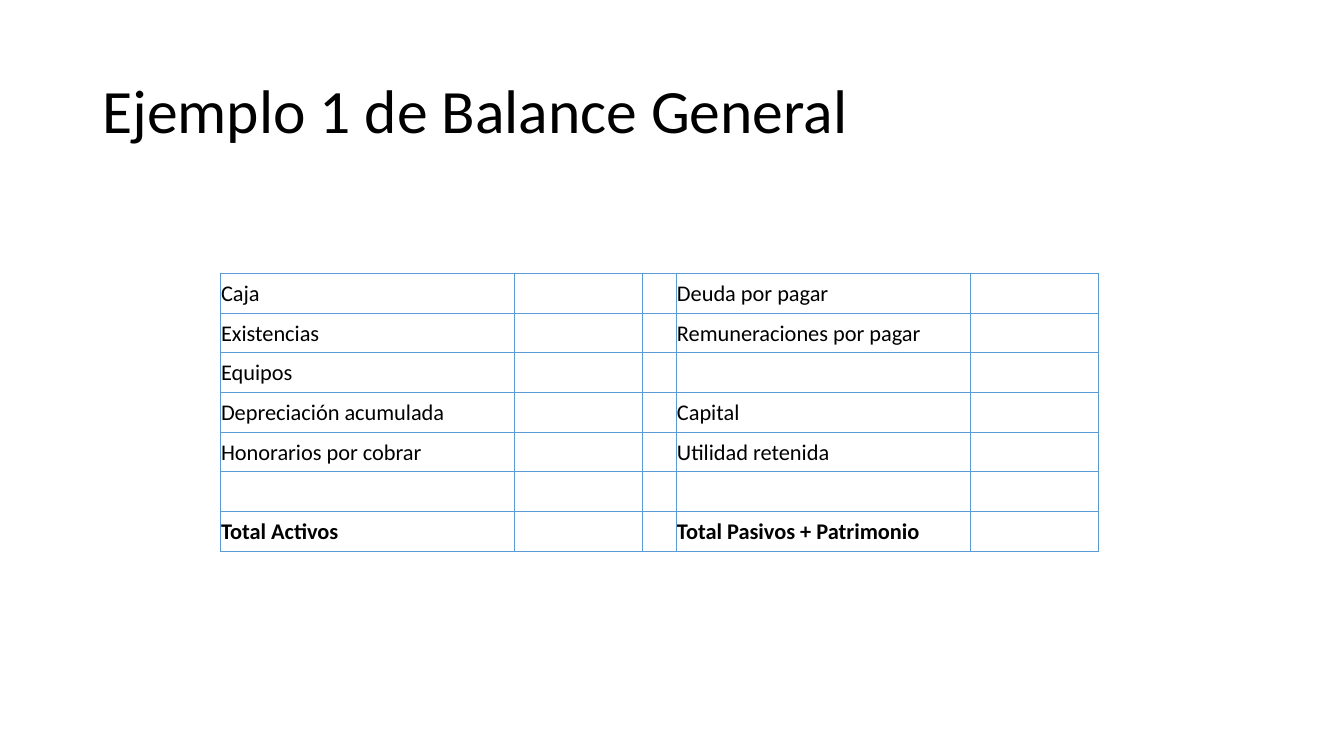
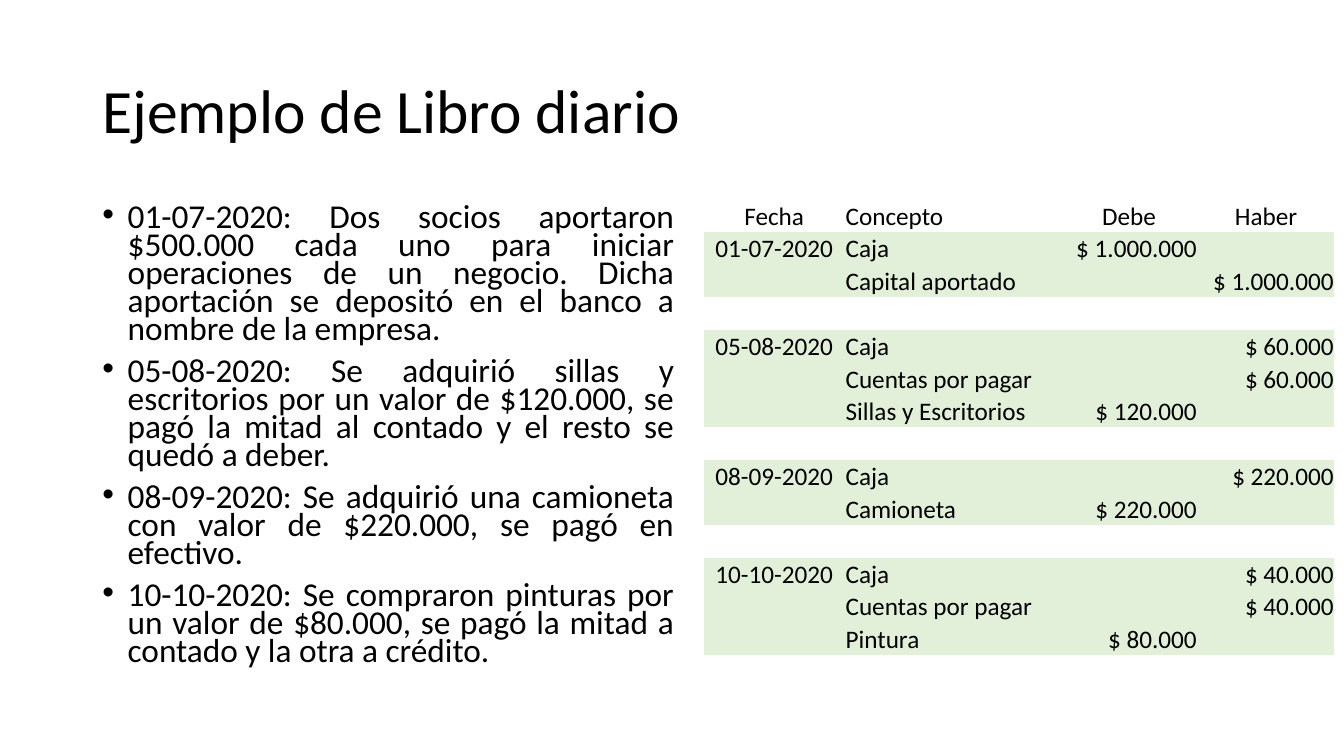
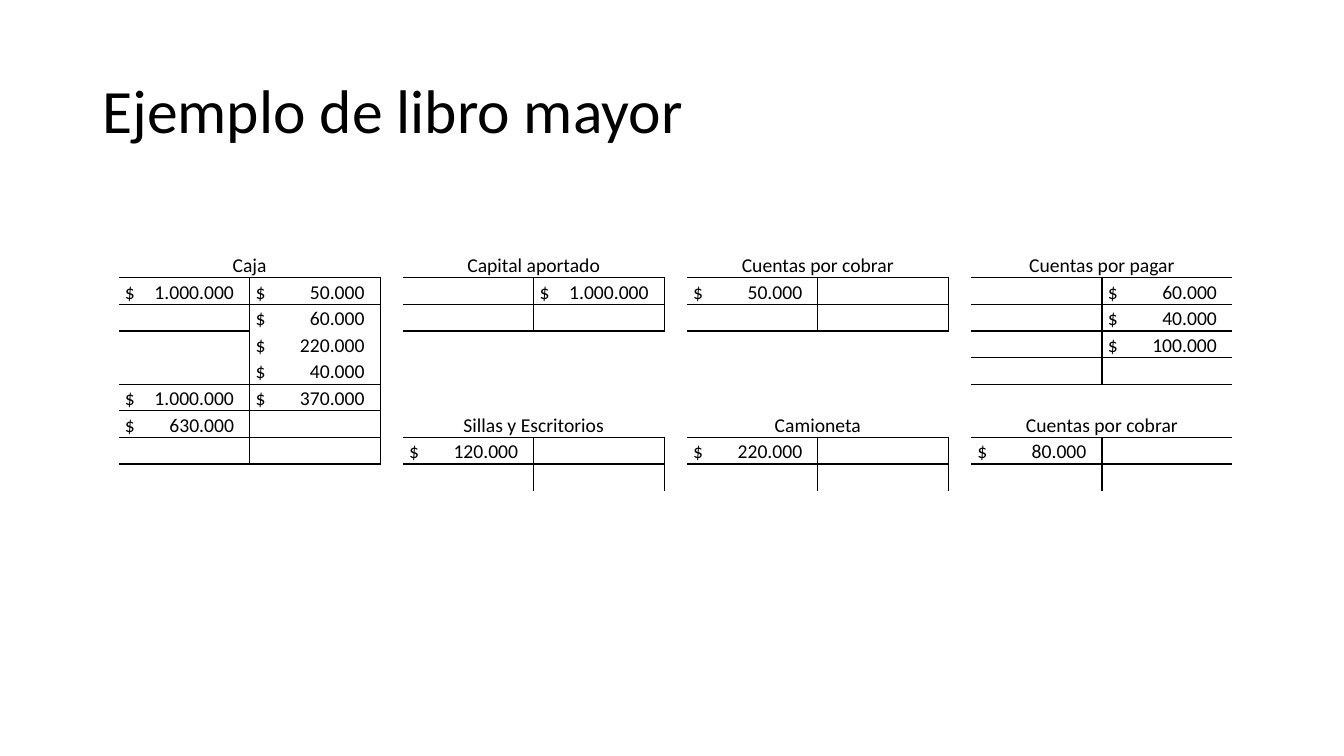
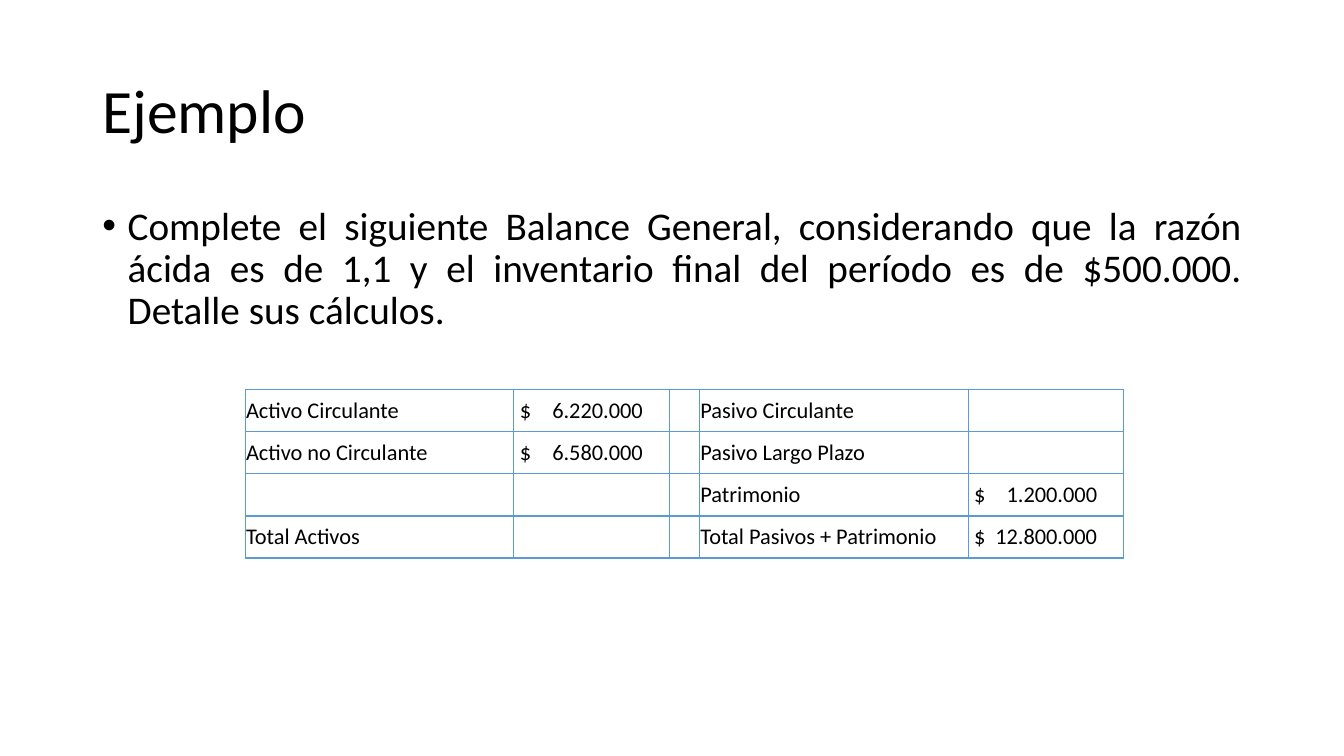
from dataclasses import dataclass

from lxml.etree import SubElement
from pptx import Presentation
from pptx.dml.color import RGBColor
from pptx.enum.text import MSO_ANCHOR, PP_ALIGN
from pptx.oxml.ns import qn
from pptx.util import Cm, Pt


@dataclass(frozen=True)
class Theme:
    font: str = "Calibri"
    text: str = "000000"
    grid: str = "5B9BD5"
    entry: str = "E2F0D9"
    title: float = 44
    body: float = 28
    dense_body: float = 23.8
    journal: float = 18
    balance: float = 16
    ledger: float = 14


theme = Theme()
SIDES = ("L", "R", "T", "B")
PLAIN_TABLE_STYLE = "{2D5ABB26-0587-4C30-8999-92F81FD0307C}"


def add_text(slide, left, top, width, height, paragraphs, size, spacing=0.9, bullets=False):
    shape = slide.shapes.add_textbox(Cm(left), Cm(top), Cm(width), Cm(height))
    frame = shape.text_frame
    frame.word_wrap = True
    frame.vertical_anchor = MSO_ANCHOR.TOP if bullets else MSO_ANCHOR.MIDDLE
    for index, text in enumerate(paragraphs):
        paragraph = frame.add_paragraph() if index else frame.paragraphs[0]
        paragraph.line_spacing = spacing
        if bullets:
            paragraph.alignment = PP_ALIGN.JUSTIFY
            paragraph.space_before = Pt(10)
            properties = paragraph._p.get_or_add_pPr()
            properties.set("marL", str(Cm(0.64)))
            properties.set("indent", str(-Cm(0.64)))
            SubElement(properties, qn("a:buFont"), typeface="Arial")
            SubElement(properties, qn("a:buChar"), char="•")
        run = paragraph.add_run()
        run.text = text
        run.font.name = theme.font
        run.font.size = Pt(size)
        run.font.color.rgb = RGBColor.from_string(theme.text)


def add_grid(slide, left, top, widths, row_height, rows, size, anchor,
             borders, line_color, aligns=None, amount_end=0):
    """Borders map (row, column) to sides; amounts end at a right tab stop."""
    frame = slide.shapes.add_table(len(rows), len(widths), Cm(left), Cm(top),
                                   Cm(sum(widths)), Cm(row_height * len(rows)))
    table = frame.table
    table.first_row = table.horz_banding = False
    table._tbl.tblPr.find(qn("a:tableStyleId")).text = PLAIN_TABLE_STYLE
    for column, width in zip(table.columns, widths):
        column.width = Cm(width)
    for row_index, texts in enumerate(rows):
        table.rows[row_index].height = Cm(row_height)
        for column_index, text in enumerate(texts):
            cell = table.cell(row_index, column_index)
            is_amount = "\t" in text
            cell.margin_left = Cm(0.15 if is_amount else 0.02)
            cell.margin_right = cell.margin_top = Cm(0.02)
            cell.margin_bottom = 0
            cell.vertical_anchor = anchor
            for side in SIDES:
                if side in borders.get((row_index, column_index), ()):
                    line = SubElement(cell._tc.get_or_add_tcPr(), qn(f"a:ln{side}"), w=str(Pt(1)))
                    SubElement(SubElement(line, qn("a:solidFill")), qn("a:srgbClr"), val=line_color)
            cell.fill.background()
            paragraph = cell.text_frame.paragraphs[0]
            if aligns:
                paragraph.alignment = aligns[column_index]
            if is_amount:
                tabs = SubElement(paragraph._p.get_or_add_pPr(), qn("a:tabLst"))
                SubElement(tabs, qn("a:tab"), pos=str(Cm(amount_end)), algn="r")
            if text:
                run = paragraph.add_run()
                run.text = text
                run.font.name = theme.font
                run.font.size = Pt(size)
                run.font.color.rgb = RGBColor.from_string(theme.text)
            else:
                SubElement(paragraph._p, qn("a:endParaRPr"), sz=str(size * 100))
    return table


presentation = Presentation()
presentation.slide_width = Cm(33.87)
presentation.slide_height = Cm(19.05)

# Slides and their titles
slides = []
for title in ("Ejemplo 1 de Balance General", "Ejemplo de Libro diario",
              "Ejemplo de libro mayor", "Ejemplo"):
    slide = presentation.slides.add_slide(presentation.slide_layouts[6])
    add_text(slide, 2.33, 1.01, 29.21, 3.68, [title], theme.title)
    slides.append(slide)
balance_slide, journal_slide, ledger_slide, exercise_slide = slides

# Balance sheet
balance_rows = [
    ("Caja", "", "", "Deuda por pagar", ""),
    ("Existencias", "", "", "Remuneraciones por pagar", ""),
    ("Equipos", "", "", "", ""),
    ("Depreciación acumulada", "", "", "Capital", ""),
    ("Honorarios por cobrar", "", "", "Utilidad retenida", ""),
    ("", "", "", "", ""),
    ("Total Activos", "", "", "Total Pasivos + Patrimonio", ""),
]
full_grid = {(row, column): SIDES for row in range(7) for column in range(5)}
balance = add_grid(balance_slide, 5.55, 6.89, (7.42, 3.23, 0.84, 7.42, 3.23), 1,
                   balance_rows, theme.balance, MSO_ANCHOR.MIDDLE, full_grid, theme.grid)
for column in (0, 3):
    balance.cell(6, column).text_frame.paragraphs[0].runs[0].font.bold = True

# Journal: operations and their entries
operations = [
    "01-07-2020: Dos socios aportaron $500.000 cada uno para iniciar operaciones de un negocio. "
    "Dicha aportación se depositó en el banco a nombre de la empresa.",
    "05-08-2020: Se adquirió sillas y escritorios por un valor de $120.000, se pagó la mitad "
    "al contado y el resto se quedó a deber.",
    "08-09-2020: Se adquirió una camioneta con valor de $220.000, se pagó en efectivo.",
    "10-10-2020: Se compraron pinturas por un valor de $80.000, se pagó la mitad a contado "
    "y la otra a crédito.",
]
add_text(journal_slide, 2.33, 5.07, 14.9, 12.09, operations, theme.dense_body, 0.7, True)

journal_rows = [
    ("Fecha", "Concepto", "Debe", "Haber"),
    ("01-07-2020", "Caja", "$ 1.000.000", ""),
    ("", "Capital aportado", "", "$ 1.000.000"),
    ("", "", "", ""),
    ("05-08-2020", "Caja", "", "$ 60.000"),
    ("", "Cuentas por pagar", "", "$ 60.000"),
    ("", "Sillas y Escritorios", "$ 120.000", ""),
    ("", "", "", ""),
    ("08-09-2020", "Caja", "", "$ 220.000"),
    ("", "Camioneta", "$ 220.000", ""),
    ("", "", "", ""),
    ("10-10-2020", "Caja", "", "$ 40.000"),
    ("", "Cuentas por pagar", "", "$ 40.000"),
    ("", "Pintura", "$ 80.000", ""),
]
journal = add_grid(journal_slide, 17.73, 5.03, (3.56, 5.44, 3.45, 3.45), 0.82, journal_rows,
                   theme.journal, MSO_ANCHOR.BOTTOM, {}, theme.text,
                   (PP_ALIGN.CENTER, PP_ALIGN.LEFT, PP_ALIGN.RIGHT, PP_ALIGN.RIGHT))
for column in (2, 3):
    journal.cell(0, column).text_frame.paragraphs[0].alignment = PP_ALIGN.CENTER
for row_index, texts in enumerate(journal_rows):
    if row_index and any(texts):
        for column in range(4):
            fill = journal.cell(row_index, column).fill
            fill.solid()
            fill.fore_color.rgb = RGBColor.from_string(theme.entry)

# Ledger: header row, block, name, (debit, credit) entries, entries ruled above on each side
accounts = [
    (0, 0, "Caja",
     [("1.000.000", "50.000"), ("", "60.000"), ("", "220.000"), ("", "40.000"),
      ("1.000.000", "370.000"), ("630.000", ""), ("", "")], (0, 1, 4, 5, 6), (0, 4, 5, 6)),
    (0, 1, "Capital aportado", [("", "1.000.000"), ("", "")], (0, 1), (0, 1)),
    (0, 2, "Cuentas por cobrar", [("50.000", ""), ("", "")], (0, 1), (0, 1)),
    (0, 3, "Cuentas por pagar",
     [("", "60.000"), ("", "40.000"), ("", "100.000"), ("", "")], (0, 1, 2, 3), (0, 1, 2, 3)),
    (6, 1, "Sillas y Escritorios", [("120.000", ""), ("", "")], (0, 1), (0, 1)),
    (6, 2, "Camioneta", [("220.000", ""), ("", "")], (0, 1), (0, 1)),
    (6, 3, "Cuentas por cobrar", [("80.000", ""), ("", "")], (0, 1), (0, 1)),
]
ledger_rows = [[""] * 11 for _ in range(9)]
ledger_borders = {}
for header_row, block, name, entries, *ruled in accounts:
    ledger_rows[header_row][block * 3] = name
    for index, entry in enumerate(entries):
        for side, amount in enumerate(entry):
            row, column = header_row + 1 + index, block * 3 + side
            ledger_rows[row][column] = f"$\t{amount}" if amount else ""
            right = "R" if side == 0 or block < 3 else ""
            ledger_borders[row, column] = right + ("T" if index in ruled[side] else "")
ledger = add_grid(ledger_slide, 3, 6.33, (3.29, 3.29, 0.58) * 3 + (3.29, 3.29), 0.67,
                  ledger_rows, theme.ledger, MSO_ANCHOR.BOTTOM, ledger_borders, theme.text,
                  amount_end=2.75)
for header_row, block, *_ in accounts:
    header = ledger.cell(header_row, block * 3)
    header.merge(ledger.cell(header_row, block * 3 + 1))
    header.text_frame.paragraphs[0].alignment = PP_ALIGN.CENTER

# Exercise
add_text(exercise_slide, 2.33, 5.07, 29.21, 4.75,
         ["Complete el siguiente Balance General, considerando que la razón ácida es de 1,1 "
          "y el inventario final del período es de $500.000. Detalle sus cálculos."],
         theme.body, bullets=True)
exercise_rows = [
    ("Activo Circulante", "$\t6.220.000", "", "Pasivo Circulante", ""),
    ("Activo no Circulante", "$\t6.580.000", "", "Pasivo Largo Plazo", ""),
    ("", "", "", "Patrimonio", "$\t1.200.000"),
    ("Total Activos", "", "", "Total Pasivos + Patrimonio", "$\t12.800.000"),
]
add_grid(exercise_slide, 6.18, 9.82, (6.77, 3.92, 0.76, 6.77, 3.92), 1.06, exercise_rows,
         theme.balance, MSO_ANCHOR.MIDDLE, full_grid, theme.grid, amount_end=3.1)

presentation.save("out.pptx")
